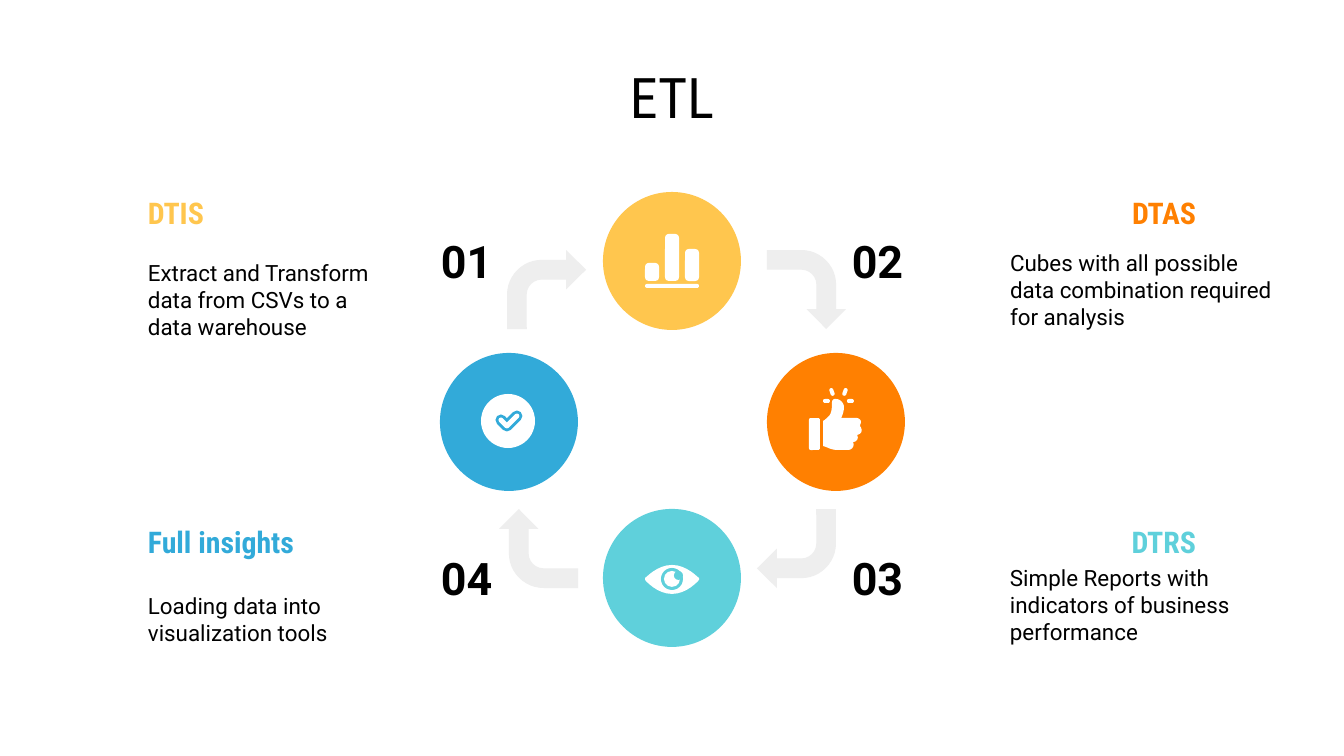
from lxml import etree
from pptx import Presentation
from pptx.dml.color import RGBColor
from pptx.enum.shapes import MSO_SHAPE as Preset
from pptx.enum.text import MSO_ANCHOR as Anchor, PP_ALIGN as Align
from pptx.oxml.ns import qn
from pptx.util import Pt

SCALE = 9144000 / 1344  # EMU per px
WIDTH, HEIGHT = 1344, 756

BLACK = RGBColor(0x00, 0x00, 0x00)
WHITE = RGBColor(0xFF, 0xFF, 0xFF)
GREY = RGBColor(0xEE, 0xEE, 0xEE)
YELLOW = RGBColor(0xFF, 0xC6, 0x4E)
ORANGE = RGBColor(0xFF, 0x80, 0x01)
TEAL = RGBColor(0x5F, 0xD0, 0xDB)
BLUE = RGBColor(0x32, 0xAA, 0xD9)


def px(length):
    return round(length * SCALE)


def write(frame, text, size=12, font="Roboto", color=BLACK, bold=False,
          align=Align.LEFT, inset=13):
    frame.word_wrap = True
    frame.vertical_anchor = Anchor.MIDDLE
    frame.margin_left = frame.margin_right = px(inset)
    frame.margin_top = frame.margin_bottom = px(inset)
    paragraph = frame.paragraphs[0]
    paragraph.alignment = align
    run = paragraph.add_run()
    run.text = text
    run.font.size, run.font.name, run.font.bold = Pt(size), font, bold
    run.font.color.rgb = color


def flatten(start, segments, steps=8):
    """Points along line ends (x, y) and cubic curves (x1, y1, x2, y2, x, y)."""
    points = [start]
    for segment in segments:
        if len(segment) == 2:
            points.append(segment)
            continue
        controls = (points[-1], segment[:2], segment[2:4], segment[4:])
        for step in range(1, steps + 1):
            t = step / steps
            weights = ((1 - t) ** 3, 3 * t * (1 - t) ** 2, 3 * t * t * (1 - t), t ** 3)
            points.append(tuple(sum(w * c[axis] for w, c in zip(weights, controls))
                                for axis in (0, 1)))
    return points


class Canvas:
    condensed = "Roboto Condensed"

    def __init__(self, slide):
        self.slide = slide

    def text(self, left, top, width, height, text, **style):
        box = self.slide.shapes.add_textbox(px(left), px(top), px(width), px(height))
        write(box.text_frame, text, **style)

    def shape(self, preset, left, top, width, height, color, adjust=(), rotation=0):
        shape = self.slide.shapes.add_shape(preset, px(left), px(top), px(width), px(height))
        for index, value in enumerate(adjust):
            shape.adjustments[index] = value
        shape.rotation = rotation
        shape.shadow.inherit = False
        shape.fill.solid()
        shape.fill.fore_color.rgb = color
        shape.line.fill.background()

    def pill(self, left, top, width, height, color, radius=0.5, rotation=0):
        self.shape(Preset.ROUNDED_RECTANGLE, left, top, width, height, color,
                   (radius,), rotation)

    def freeform(self, points, closed=True):
        points = [(px(x), px(y)) for x, y in points]
        builder = self.slide.shapes.build_freeform(*points[0], scale=1.0)
        builder.add_line_segments(points[1:], close=closed)
        shape = builder.convert_to_shape()
        shape.shadow.inherit = False
        return shape

    def outline(self, points, color):
        shape = self.freeform(points)
        shape.fill.solid()
        shape.fill.fore_color.rgb = color
        shape.line.fill.background()

    def stroke(self, points, color, width):
        shape = self.freeform(points, closed=False)
        shape.fill.background()
        shape.line.color.rgb = color
        shape.line.width = px(width)
        line = shape.element.spPr.find(qn("a:ln"))
        line.set("cap", "rnd")
        etree.SubElement(line, qn("a:round"))


def draw_bar_chart(canvas):
    canvas.pill(645, 284, 54, 4, WHITE)
    for index, top in enumerate((263, 234, 249)):
        canvas.pill(645 + 20 * index, top, 14, 281 - top, WHITE, radius=0.27)


def draw_eye(canvas):
    canvas.outline(flatten((672, 565), [
        (687, 565, 698, 578, 699, 578), (699, 580), (698, 581, 687, 594, 672, 594),
        (657, 594, 646, 581, 645, 580), (645, 578), (646, 578, 657, 565, 672, 565)]), WHITE)
    for left, top, size, color in ((661, 568, 22, TEAL), (664, 571, 16, WHITE),
                                   (674, 571, 9, TEAL)):
        canvas.shape(Preset.OVAL, left, top, size, size, color)


def draw_thumb(canvas):
    for left, top, width, height, rotation in (
            (847, 399, 7, 4, 0), (823, 399, 7, 4, 0),
            (830, 388, 4, 8, -20), (843, 388, 4, 8, 20)):
        canvas.pill(left, top, width, height, WHITE, rotation=rotation)
    canvas.pill(809, 418, 11, 32, WHITE, radius=0.17)
    canvas.outline(flatten((835, 399), [
        (833, 399, 832, 401, 832, 402), (832, 406, 832, 413, 829, 416),
        (827, 418, 825, 420, 823, 421), (823, 446), (827, 447, 831, 450, 837, 450),
        (848, 450), (852, 450, 855, 446, 853, 442), (857, 442, 859, 438, 857, 435),
        (862, 434, 863, 430, 860, 426), (860, 425, 861, 423, 861, 422),
        (861, 420, 859, 418, 856, 418), (841, 418), (843, 415, 844, 410, 844, 407),
        (844, 403, 840, 399, 836, 399)]), WHITE)


def draw_check(canvas):
    canvas.shape(Preset.OVAL, 481, 394, 54, 54, WHITE)
    tick = [(501, 420), (507, 426), (517, 416)]
    canvas.stroke(tick, BLUE, 11)
    canvas.stroke(tick, WHITE, 5)


def main():
    presentation = Presentation()
    presentation.slide_width, presentation.slide_height = px(WIDTH), px(HEIGHT)
    canvas = Canvas(presentation.slides.add_slide(presentation.slide_layouts[6]))

    # Title
    canvas.text(67, 61, 1210, 71, "ETL", size=30, font=canvas.condensed, align=Align.CENTER)

    # Circles of the cycle
    for left, top, color in ((603, 509, TEAL), (440, 353, BLUE),
                             (767, 353, ORANGE), (603, 192, YELLOW)):
        canvas.pill(left, top, 138, 138, color)

    # Headings
    for left, top, heading, color, align in (
            (135, 192, "DTIS", YELLOW, Align.LEFT),
            (135, 521, "Full insights", BLUE, Align.LEFT),
            (919, 192, "DTAS", ORANGE, Align.RIGHT),
            (919, 521, "DTRS", TEAL, Align.RIGHT)):
        canvas.text(left, top, 290, 42, heading, size=16, font=canvas.condensed,
                    color=color, bold=True, align=align)

    # Descriptions
    for left, top, width, description in (
            (135, 257, 249, "Extract and Transform data from CSVs to a data warehouse"),
            (135, 577, 249, "Loading data into visualization tools"),
            (997, 247, 290, "Cubes with all possible data combination required for analysis"),
            (997, 562, 249, "Simple Reports with indicators of business performance")):
        canvas.text(left, top, width, 85, description)

    # Arrows between the circles
    for left, top, rotation in ((767, 250, 90), (757, 509, 180), (499, 509, 270), (507, 250, 0)):
        canvas.shape(Preset.BENT_ARROW, left, top, 79, 79, GREY,
                     (0.25, 0.25, 0.25, 0.44), rotation)

    # Step numbers
    for left, top, number in ((836, 234, "02"), (836, 551, "03"),
                              (425, 551, "04"), (425, 234, "01")):
        canvas.text(left, top, 83, 54, number, size=24, bold=True,
                    align=Align.CENTER, inset=0)

    # Icons
    draw_bar_chart(canvas)
    draw_eye(canvas)
    draw_thumb(canvas)
    draw_check(canvas)

    presentation.save("out.pptx")


if __name__ == "__main__":
    main()
